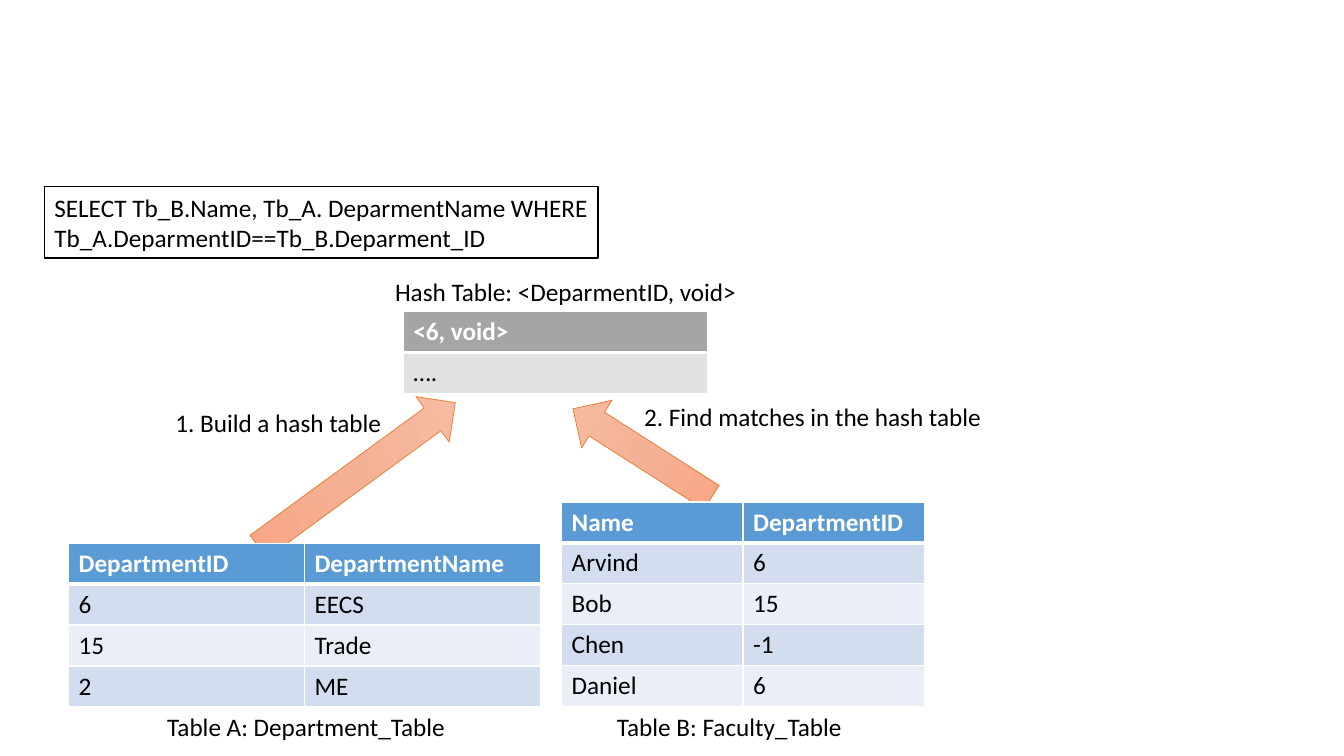
from copy import deepcopy

from lxml import etree
from pptx import Presentation
from pptx.dml.color import RGBColor
from pptx.enum import shapes, text
from pptx.oxml.ns import qn
from pptx.util import Inches, Pt

FONT = "Calibri"
BLACK, WHITE = "000000", "FFFFFF"
BLUE = ("5B9BD5", "D2DEEF", "EAEFF7")  # header, odd rows, even rows
GREY = ("A5A5A5", "E1E1E1", "F0F0F0")
ORANGE_STOPS = ("F7BDA5", "F5B196", "F8A582")
ORANGE_LINE = "ED7D31"


def color(value):
    return RGBColor.from_string(value)


def style_text(frame, ink=BLACK, bold=False):
    for para in frame.paragraphs:
        para.alignment = text.PP_ALIGN.LEFT
        para.font.name = FONT
        para.font.size = Pt(18)
        para.font.bold = bold
        para.font.color.rgb = color(ink)


def add_label(page, words, left, top, width):
    box = page.shapes.add_textbox(Inches(left), Inches(top), Inches(width), Inches(0.4))
    frame = box.text_frame
    frame.word_wrap = True
    frame.auto_size = text.MSO_AUTO_SIZE.SHAPE_TO_FIT_TEXT
    frame.text = words
    style_text(frame)


def add_query(page, words, left, top, width, height):
    box = page.shapes.add_shape(shapes.MSO_SHAPE.RECTANGLE, Inches(left), Inches(top),
                                Inches(width), Inches(height))
    box.shadow.inherit = False
    box.fill.solid()
    box.fill.fore_color.rgb = color(WHITE)
    box.line.color.rgb = color(BLACK)
    box.line.width = Pt(1)
    frame = box.text_frame
    frame.word_wrap = True
    frame.text = words
    style_text(frame)


def add_arrow(page, left, top, height, rotation):
    arrow = page.shapes.add_shape(shapes.MSO_SHAPE.UP_ARROW, Inches(left), Inches(top),
                                  Inches(0.56), Inches(height))
    arrow.shadow.inherit = False
    arrow.rotation = rotation
    arrow.line.color.rgb = color(ORANGE_LINE)
    arrow.line.width = Pt(0.5)
    arrow.fill.gradient()
    arrow.fill.gradient_angle = 270
    # The default gradient has two stops; the arrow needs a third between them
    stop_list = arrow.element.spPr.find(qn("a:gradFill")).find(qn("a:gsLst"))
    stop_list.insert(1, deepcopy(stop_list[0]))
    for stop, position, value in zip(arrow.fill.gradient_stops, (0, 0.5, 1), ORANGE_STOPS):
        stop.position = position
        stop.color.rgb = color(value)


def set_borders(cell, bottom_width):
    properties = cell._tc.get_or_add_tcPr()
    widths = {"a:lnL": 1, "a:lnR": 1, "a:lnT": 1, "a:lnB": bottom_width}
    for index, (side, width) in enumerate(widths.items()):
        line = etree.Element(qn(side), w=str(Pt(width)))
        fill = etree.SubElement(line, qn("a:solidFill"))
        etree.SubElement(fill, qn("a:srgbClr"), val=WHITE)
        properties.insert(index, line)


def add_grid(page, rows, left, top, width, height, shades):
    table = page.shapes.add_table(len(rows), len(rows[0]), Inches(left), Inches(top),
                                  Inches(width), Inches(height)).table
    for row_index, row in enumerate(rows):
        header = row_index == 0
        shade = shades[0] if header else shades[2 - row_index % 2]
        for column_index, words in enumerate(row):
            cell = table.cell(row_index, column_index)
            cell.text = words
            cell.fill.solid()
            cell.fill.fore_color.rgb = color(shade)
            style_text(cell.text_frame, WHITE if header else BLACK, header)
            set_borders(cell, 3 if header else 1)


def main():
    deck = Presentation()
    deck.slide_width, deck.slide_height = Inches(13.33), Inches(7.5)
    page = deck.slides.add_slide(deck.slide_layouts[6])

    # Arrows from both tables to the hash table
    add_arrow(page, 6.09, 3.68, 1.63, 302.6)
    add_arrow(page, 3.26, 3.5, 2.42, 53.8)

    # Faculty, department and hash tables
    faculty = [("Name", "DepartmentID"), ("Arvind", "6"), ("Bob", "15"),
               ("Chen", "-1"), ("Daniel", "6")]
    departments = [("DepartmentID", "DepartmentName"), ("6", "EECS"),
                   ("15", "Trade"), ("2", "ME")]
    add_grid(page, faculty, 5.57, 4.98, 3.6, 2.03, BLUE)
    add_grid(page, departments, 0.68, 5.39, 4.68, 1.62, BLUE)
    add_grid(page, [("<6, void>",), ("….",)], 4, 3.09, 3.02, 0.81, GREY)

    # Captions, query and steps
    add_label(page, "Table A: Department_Table", 1.56, 7.01, 3.8)
    add_label(page, "Table B: Faculty_Table", 6.02, 7.01, 3.8)
    add_label(page, "Hash Table: <DeparmentID, void>", 3.82, 2.69, 3.8)
    add_query(page, "SELECT Tb_B.Name, Tb_A. DeparmentName WHERE "
              "Tb_A.DeparmentID==Tb_B.Deparment_ID", 0.44, 1.85, 5.49, 0.71)
    add_label(page, "2. Find matches in the hash table", 6.29, 3.93, 3.8)
    add_label(page, "1. Build a hash table", 1.64, 3.99, 2.31)

    deck.save("out.pptx")


if __name__ == "__main__":
    main()
